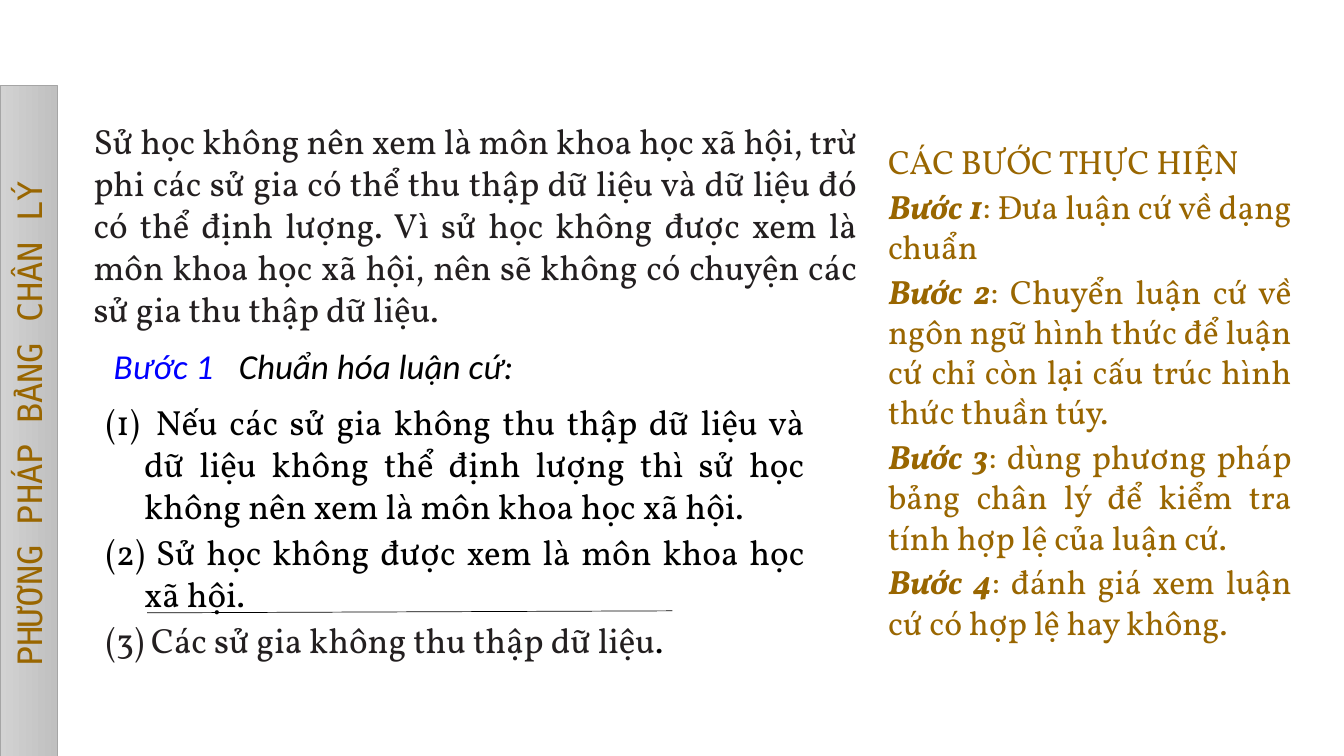
import lxml.etree
import pptx
import pptx.dml.color
import pptx.enum.shapes
import pptx.enum.text
import pptx.oxml.ns
from pptx.util import Inches

BROWN, BLACK, CHARCOAL, BLUE = "996600", "000000", "231F20", "0000FF"
LEFT = pptx.enum.text.PP_ALIGN.LEFT
CENTER = pptx.enum.text.PP_ALIGN.CENTER
JUSTIFY = pptx.enum.text.PP_ALIGN.JUSTIFY


def rgb(value):
    return pptx.dml.color.RGBColor.from_string(value)


def write(shape, text, font="Vollkorn", size=25, color=BLACK, bold=False,
          italic=False, align=JUSTIFY, after=0, join=False):
    frame = shape.text_frame
    frame.word_wrap = True
    frame.auto_size = pptx.enum.text.MSO_AUTO_SIZE.NONE
    paragraph = frame.paragraphs[-1]
    if paragraph.runs and not join:
        paragraph = frame.add_paragraph()
    paragraph.alignment = align
    paragraph.space_before = pptx.util.Pt(0)
    paragraph.space_after = pptx.util.Pt(after)
    run = paragraph.add_run()
    run.text = text
    run.font.name = font
    run.font.size = pptx.util.Pt(size)
    run.font.bold = bold
    run.font.italic = italic
    run.font.color.rgb = rgb(color)
    return paragraph


presentation = pptx.Presentation()
presentation.slide_width = Inches(13.33)
presentation.slide_height = Inches(7.5)
slide = presentation.slides.add_slide(presentation.slide_layouts[1])

title = slide.shapes.title
title.left, title.top = Inches(-3.07), Inches(3.92)
title.width, title.height = Inches(6.71), Inches(0.57)
title.rotation = 270
title.fill.gradient()
title.fill.gradient_angle = 270
for stop, color in zip(title.fill.gradient_stops, ["D2D2D2", "C0C0C0"]):
    stop.color.rgb = rgb(color)
title.line.color.rgb = rgb("A5A5A5")
title.line.width = pptx.util.Pt(0.5)
title.text_frame.vertical_anchor = pptx.enum.text.MSO_ANCHOR.MIDDLE
write(title, "PHƯƠNG PHÁP BẢNG CHÂN LÝ", font="DejaVu Sans Mono", size=24,
      color=BROWN, align=CENTER)

step_label = slide.shapes.add_textbox(Inches(1.03), Inches(3.37), Inches(1.24), Inches(0.52))
write(step_label, "Bước 1", font="Calibri", color=BLUE, italic=True, align=LEFT)
step_name = slide.shapes.add_textbox(Inches(2.27), Inches(3.37), Inches(4.06), Inches(0.54))
write(step_name, "Chuẩn hóa luận cứ:", font="Calibri", italic=True, align=LEFT)

argument = slide.placeholders[1]
argument.left, argument.top = Inches(0.95), Inches(3.92)
argument.width, argument.height = Inches(7.13), Inches(2.71)
statements = [
    (" Nếu các sử gia không thu thập dữ liệu và dữ liệu không thể định lượng "
     "thì sử học không nên xem là môn khoa học xã hội. ", BLACK),
    (" Sử học không được xem là môn khoa học xã hội. ", BLACK),
    (" Các sử gia không thu thập dữ liệu", CHARCOAL),
]
for text, color in statements:
    paragraph = write(argument, text, color=color, after=3)
    properties = paragraph._p.get_or_add_pPr()
    properties.set("marL", str(Inches(0.38)))
    properties.set("indent", str(Inches(-0.38)))
    numbering = lxml.etree.SubElement(properties, pptx.oxml.ns.qn("a:buAutoNum"))
    numbering.set("type", "arabicParenBoth")
write(argument, ".", after=3, join=True)

passage = slide.shapes.add_textbox(Inches(0.83), Inches(1.14), Inches(7.77), Inches(2.2))
write(passage, "Sử học không nên xem là môn khoa học xã hội, trừ phi các sử gia có thể "
      "thu thập dữ liệu và dữ liệu đó có thể định lượng. Vì sử học không được xem là "
      "môn khoa học xã hội, nên sẽ không có chuyện các sử gia thu thập dữ liệu.",
      color=CHARCOAL)

conclusion_line = slide.shapes.add_connector(
    pptx.enum.shapes.MSO_CONNECTOR.STRAIGHT,
    Inches(1.46), Inches(6.08), Inches(6.67), Inches(6.06))
conclusion_line.line.color.rgb = rgb(BLACK)
conclusion_line.line.width = pptx.util.Pt(0.5)
lxml.etree.SubElement(conclusion_line._element.spPr, pptx.oxml.ns.qn("a:effectLst"))

method = slide.shapes.add_textbox(Inches(8.71), Inches(1.35), Inches(4.2), Inches(5.12))
write(method, "CÁC BƯỚC THỰC HIỆN ", size=24, color=BROWN, after=3)
steps = [
    "Đưa luận cứ về dạng chuẩn",
    "Chuyển luận cứ về ngôn ngữ hình thức để luận cứ chỉ còn lại cấu trúc hình thức thuần túy.",
    "dùng phương pháp bảng chân lý để kiểm tra tính hợp lệ của luận cứ.",
    "đánh giá xem luận cứ có hợp lệ hay không.",
]
for number, step in enumerate(steps, 1):
    write(method, f"Bước {number}", size=24, color=BROWN, bold=True, italic=True, after=3)
    write(method, f": {step}", size=24, color=BROWN, after=3, join=True)

presentation.save("out.pptx")
